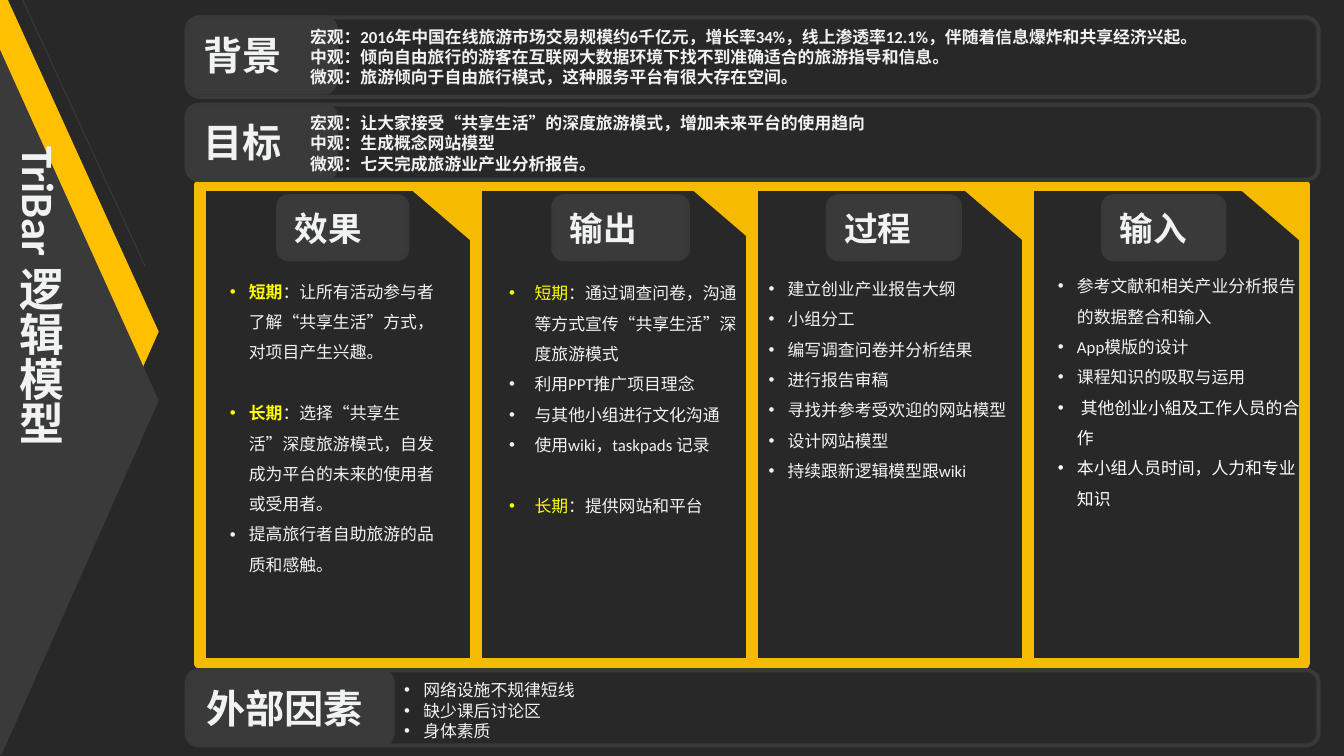
from dataclasses import dataclass

from lxml.etree import SubElement
from pptx import Presentation
from pptx.dml.color import RGBColor
from pptx.enum.lang import MSO_LANGUAGE_ID as Lang
from pptx.enum.shapes import MSO_CONNECTOR as Connector, MSO_SHAPE as Preset
from pptx.enum.text import MSO_ANCHOR as Anchor, MSO_AUTO_SIZE as AutoSize, PP_ALIGN as Align
from pptx.oxml.ns import qn
from pptx.util import Cm, Pt

BACKGROUND, PANEL, EDGE = "282828", "3A3A3A", "3B3838"
GOLD, AMBER, YELLOW = "F6BB00", "FFC001", "FFFF00"
LIGHT, WHITE = "F1F3F2", "FFFFFF"
BLANK_LINE = 16.4  # points


@dataclass(frozen=True)
class Item:
    text: str
    lead: str = ""
    before: float = 0
    color: str = LIGHT


@dataclass(frozen=True)
class Box:
    left: float
    top: float
    width: float
    height: float

    def lengths(self):
        return Cm(self.left), Cm(self.top), Cm(self.width), Cm(self.height)


@dataclass(frozen=True)
class Band:
    label: str
    outline: Box
    label_box: Box
    text_box: Box
    items: tuple
    bold: bool = True
    indent: float = 0


@dataclass(frozen=True)
class Column:
    heading: str
    heading_left: float
    heading_width: float
    corner_left: float
    list_box: Box
    items: tuple
    indent: float = 0.36
    bold_lead: bool = False


BANDS = (
    Band("目标", Box(3.53, 1.98, 21.39, 1.42), Box(3.53, 1.98, 2.82, 1.42),
         Box(5.61, 2.01, 19.53, 1.42), (
             Item("宏观：让大家接受“共享生活”的深度旅游模式，增加未来平台的使用趋向"),
             Item("中观：生成概念网站模型"),
             Item("微观：七天完成旅游业产业分析报告。"))),
    Band("背景", Box(3.53, 0.33, 21.39, 1.5), Box(3.53, 0.33, 2.82, 1.42),
         Box(5.61, 0.38, 18.47, 1.42), (
             Item("宏观：2016年中国在线旅游市场交易规模约6千亿元，增长率34%，"
                  "线上渗透率12.1%，伴随着信息爆炸和共享经济兴起。"),
             Item("中观：倾向自由旅行的游客在互联网大数据环境下找不到准确适合的旅游指导和信息。"),
             Item("微观：旅游倾向于自由旅行模式，这种服务平台有很大存在空间。"))),
    Band("外部因素", Box(3.53, 12.67, 21.39, 1.42), Box(3.58, 12.67, 3.84, 1.42),
         Box(7.39, 12.73, 17.2, 1.42),
         (Item("网络设施不规律短线"), Item("缺少课后讨论区"), Item("身体素质")),
         bold=False, indent=0.36),
)

COLUMNS = (
    Column("效果", 5.26, 2.44, 7.8, Box(4.09, 5, 4.5, 5.97), (
        Item("：让所有活动参与者了解“共享生活”方式，对项目产生兴趣。", "短期"),
        Item("：选择“共享生活”深度旅游模式，自发成为平台的未来的使用者或受用者。",
             "长期", BLANK_LINE),
        Item("提高旅行者自助旅游的品质和感触。")), bold_lead=True),
    Column("输出", 10.46, 2.54, 13.11, Box(9.37, 5.03, 4.8, 4.83), (
        Item("：通过调查问卷，沟通等方式宣传“共享生活”深度旅游模式", "短期"),
        Item("利用PPT推广项目理念"),
        Item("与其他小组进行文化沟通"),
        Item("使用wiki，taskpads 记录"),
        Item("：提供网站和平台", "长期", BLANK_LINE)), indent=0.48),
    Column("过程", 15.65, 2.49, 18.24, Box(14.27, 4.95, 5.44, 4.24), (
        Item("建立创业产业报告大纲"),
        Item("小组分工"),
        Item("编写调查问卷并分析结果"),
        Item("进行报告审稿"),
        Item("寻找并参考受欢迎的网站模型"),
        Item("设计网站模型"),
        Item("持续跟新逻辑模型跟wiki"))),
    Column("输入", 20.85, 2.29, 23.47, Box(19.74, 4.9, 5.16, 4.85), (
        Item("参考文献和相关产业分析报告的数据整合和输入"),
        Item("App模版的设计"),
        Item("课程知识的吸取与运用"),
        Item(" 其他创业小組及工作人员的合作", color=WHITE),
        Item("本小组人员时间，人力和专业知识", color=WHITE))),
)


def rgb(color: str) -> RGBColor:
    return RGBColor.from_string(color)


def write(frame, items, *, size=9, bold=False, bold_lead=False, spacing=1.0,
          indent=0.0, align=Align.LEFT, anchor=Anchor.TOP) -> None:
    """Fill a text frame; a positive indent (cm) makes a bulleted list."""
    frame.word_wrap = True
    frame.auto_size = AutoSize.NONE
    frame.vertical_anchor = anchor
    for number, item in enumerate(items):
        paragraph = frame.add_paragraph() if number else frame.paragraphs[0]
        paragraph.alignment = align
        paragraph.line_spacing = spacing
        paragraph.space_before = Pt(item.before)
        if indent:
            props = paragraph._p.get_or_add_pPr()
            props.set("marL", str(Cm(indent)))
            props.set("indent", str(-Cm(indent)))
            SubElement(props, qn("a:buFont")).set("typeface", "Arial")
            SubElement(props, qn("a:buChar")).set("char", "•")
        for text, color, weight in ((item.lead, YELLOW, bold_lead), (item.text, item.color, bold)):
            if text:
                run = paragraph.add_run()
                run.text = text
                font = run.font
                font.name, font.size, font.bold = "Calibri", Pt(size), weight
                font.color.rgb = rgb(color)
                font.language_id = Lang.SIMPLIFIED_CHINESE


def paint(shape, fill: str = "", line: str = "", weight: float = 0) -> None:
    shape.shadow.inherit = False
    if fill:
        shape.fill.solid()
        shape.fill.fore_color.rgb = rgb(fill)
    else:
        shape.fill.background()
    if line:
        shape.line.color.rgb = rgb(line)
        shape.line.width = Pt(weight)
    else:
        shape.line.fill.background()


def draw_shape(slide, preset, box: Box, **style):
    shape = slide.shapes.add_shape(preset, *box.lengths())
    paint(shape, **style)
    return shape


def draw_label(slide, text: str, box: Box, size: float) -> None:
    label = draw_shape(slide, Preset.ROUNDED_RECTANGLE, box, fill=PANEL, line=EDGE, weight=2.25)
    write(label.text_frame, [Item(text)], size=size, bold=True, anchor=Anchor.MIDDLE)


def draw_polygon(slide, points, color: str) -> None:
    start, *rest = [(Cm(x), Cm(y)) for x, y in points]
    builder = slide.shapes.build_freeform(*start)
    builder.add_line_segments(rest, close=True)
    paint(builder.convert_to_shape(), fill=color)


def place(slide, placeholder, box: Box):
    """Move a placeholder to its box, in front of everything drawn so far."""
    placeholder.left, placeholder.top, placeholder.width, placeholder.height = box.lengths()
    slide.shapes._spTree.append(placeholder._element)
    return placeholder.text_frame


def draw_column(slide, column: Column, body) -> None:
    corner = draw_shape(slide, Preset.RIGHT_TRIANGLE, Box(column.corner_left, 3.43, 1.02, 1.19),
                        fill=GOLD, line=GOLD, weight=1)
    corner.rotation = 90
    corner._element.spPr.find(qn("a:xfrm")).set("flipV", "1")
    write(place(slide, body, column.list_box), column.items, spacing=1.5,
          indent=column.indent, bold_lead=column.bold_lead)
    draw_label(slide, column.heading,
               Box(column.heading_left, 3.71, column.heading_width, 1.19), 18)


def draw_band(slide, band: Band) -> None:
    draw_shape(slide, Preset.ROUNDED_RECTANGLE, band.outline, line=EDGE, weight=2.25)
    draw_label(slide, band.label, band.label_box, 21)
    details = slide.shapes.add_textbox(*band.text_box.lengths())
    write(details.text_frame, band.items, bold=band.bold, indent=band.indent)


def draw_title(slide, title) -> None:
    draw_polygon(slide, [(0, 0), (0.15, 0), (3, 6.27), (0, 13.03)], AMBER)
    draw_polygon(slide, [(0, 0.94), (3, 7.57), (0.03, 14.27), (0, 14.27)], PANEL)
    accent = slide.shapes.add_connector(Connector.STRAIGHT, Cm(2.74), Cm(5.03), Cm(0.43), Cm(0))
    accent.line.color.rgb = rgb(PANEL)
    accent.line.width = Pt(0.5)
    SubElement(accent._element.spPr, qn("a:effectLst"))
    frame = place(slide, title, Box(-0.03, 2.46, 1.55, 10.16))
    frame._txBody.bodyPr.set("vert", "eaVert")
    write(frame, [Item(" TriBar 逻辑模型")], size=24, bold=True, align=Align.CENTER)


def main() -> None:
    deck = Presentation()
    deck.slide_width, deck.slide_height = Cm(25.4), Cm(14.29)
    slide = deck.slides.add_slide(deck.slide_layouts.get_by_name("Comparison"))
    slide.background.fill.solid()
    slide.background.fill.fore_color.rgb = rgb(BACKGROUND)
    title, *bodies = list(slide.placeholders)
    for number in range(len(COLUMNS)):
        draw_shape(slide, Preset.RECTANGLE, Box(3.78 + 5.22 * number, 3.5, 5.21, 9.04),
                   line=GOLD, weight=6)
    for column, body in zip(COLUMNS, bodies):
        draw_column(slide, column, body)
    for band in BANDS:
        draw_band(slide, band)
    draw_title(slide, title)
    deck.save("out.pptx")


if __name__ == "__main__":
    main()
